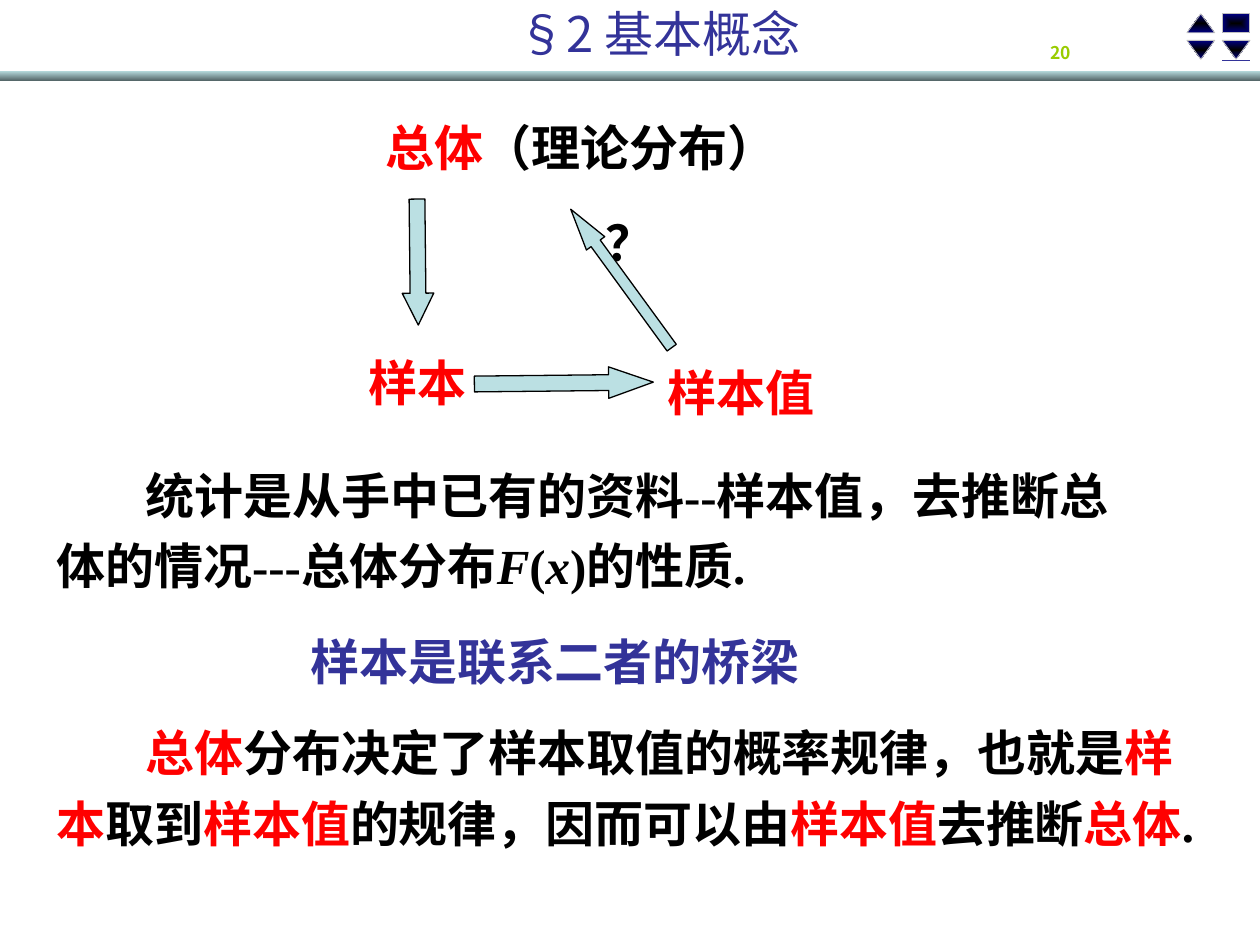
from lxml import etree
from pptx import Presentation
from pptx.dml.color import RGBColor
from pptx.enum import shapes, text
from pptx.oxml.ns import qn
from pptx.util import Inches, Pt

BLACK = RGBColor(0, 0, 0)
RED = RGBColor(0xFF, 0, 0)
INDIGO = RGBColor(0x33, 0x33, 0x99)
NAVY = RGBColor(0, 0, 0x82)
SILVER = RGBColor(0xC0, 0xC0, 0xC0)
GREEN = RGBColor(0x99, 0xCC, 0)
PALE_TEAL = RGBColor(0xBB, 0xE0, 0xE3)
DARK_TEAL = RGBColor(0x56, 0x68, 0x6A)
SANS, SERIF = "Noto Sans CJK SC", "Times New Roman"
SHAPE = shapes.MSO_SHAPE
CENTER, LEFT = text.PP_ALIGN.CENTER, text.PP_ALIGN.LEFT


def add_shape(slide, kind, box, rotation=0, adjustments=()):
    sp = slide.shapes.add_shape(kind, *map(Inches, box))
    sp.shadow.inherit = False
    sp.rotation = rotation
    for i, value in enumerate(adjustments):
        sp.adjustments[i] = value
    return sp


def set_gradient(sp, start, end, path_kind=None):
    """Top to bottom, or from the edges inward when path_kind is given."""
    sp.fill.gradient()
    sp.fill.gradient_angle = 270
    for stop, color in zip(sp.fill.gradient_stops, (start, end)):
        stop.color.rgb = color
    if path_kind:
        grad = sp._element.spPr.find(qn("a:gradFill"))
        grad.remove(grad.find(qn("a:lin")))
        path = etree.SubElement(grad, qn("a:path"), path=path_kind)
        etree.SubElement(path, qn("a:fillToRect"),
                         {side: "50000" for side in "ltrb"})


def format_paragraph(p, runs, align=LEFT, size=28, font=SERIF, bold=True):
    """Each run is (text, color) or (text, color, italic)."""
    p.alignment = align
    p.line_spacing = 1.2
    p.font.size, p.font.name, p.font.bold = Pt(size), font, bold
    for words, color, *italic in runs:
        r = p.add_run()
        r.text = words
        r.font.color.rgb = color
        if italic:
            r.font.italic = italic[0]


def add_text(slide, box, runs, align=CENTER, wrap=False, indent=0,
             anchor=text.MSO_ANCHOR.MIDDLE, **style):
    tf = slide.shapes.add_textbox(*map(Inches, box)).text_frame
    tf.word_wrap = wrap
    tf.auto_size = text.MSO_AUTO_SIZE.SHAPE_TO_FIT_TEXT
    tf.vertical_anchor = anchor
    p = tf.paragraphs[0]
    if indent:
        p._p.get_or_add_pPr().set("indent", str(Inches(indent)))
    format_paragraph(p, runs, align, **style)
    return tf


def add_header(slide):
    bar = add_shape(slide, SHAPE.RECTANGLE, (-0.01, 0.56, 10.04, 0.08))
    set_gradient(bar, PALE_TEAL, DARK_TEAL)
    bar.line.fill.background()

    title = slide.shapes.title
    title.left, title.top, title.width, title.height = map(
        Inches, (4.01, -0.02, 2.78, 0.57))
    tf = title.text_frame
    tf.vertical_anchor = text.MSO_ANCHOR.TOP
    p = tf.paragraphs[0]
    format_paragraph(p, [("§2 基本概念", INDIGO)], font=SANS, bold=False)
    p.line_spacing = 1.0

    add_text(slide, (8.24, 0.25, 0.82, 0.3), [("20", GREEN)], align=LEFT,
             wrap=True, anchor=text.MSO_ANCHOR.TOP, size=10, font=SANS)


def add_navigation(slide, left, top):
    right, lower = left + 0.28, top + 0.21
    buttons = [
        (SHAPE.UP_ARROW, left, top, 0, "rect"),
        (SHAPE.UP_ARROW, left, lower, 180, "rect"),
        (SHAPE.RECTANGLE, right, top, 0, "shape"),
        (SHAPE.UP_ARROW, right, lower, 180, "rect"),
    ]
    for kind, x, y, rotation, path_kind in buttons:
        adjustments = (0.5, 1) if kind == SHAPE.UP_ARROW else ()
        sp = add_shape(slide, kind, (x, y, 0.22, 0.15), rotation, adjustments)
        set_gradient(sp, BLACK, NAVY, path_kind)
        sp.line.color.rgb = SILVER
        sp.line.width = Pt(0.5)
    y = Inches(top + 0.37)
    underline = slide.shapes.add_connector(
        shapes.MSO_CONNECTOR.STRAIGHT, Inches(right), y, Inches(right + 0.22), y)
    underline.line.color.rgb = INDIGO
    underline.line.width = Pt(1)
    etree.SubElement(underline._element.spPr, qn("a:effectLst"))


def add_diagram(slide, left, top):
    """Population to sample to sample value, and back."""
    tf = add_text(slide, (left + 0.11, top - 0.01, 3.36, 1.47),
                  [("总体", RED), ("（理论分布）", BLACK)], wrap=True)
    p = tf.add_paragraph()
    p._p.get_or_add_pPr().set("marL", str(Inches(1.78)))
    format_paragraph(p, [("？", BLACK)])
    p.space_before = Pt(14)
    add_text(slide, (left, top + 1.91, 0.99, 0.61), [("样本", RED)])
    add_text(slide, (left + 2.31, top + 1.99, 1.5, 0.61), [("样本值", RED)])

    arrows = [
        (1.53, 1.56, 0.25, 1.42, 269.4, 1.42),
        (0.37, 0.81, 0.25, 1.0, 359.4, 1.01),
        (2.02, 0.76, 0.18, 1.36, 143.9, 1.86),
    ]
    for x, y, width, height, rotation, head in arrows:
        sp = add_shape(slide, SHAPE.DOWN_ARROW,
                       (left + x, top + y, width, height), rotation, (0.5, head))
        sp.fill.solid()
        sp.fill.fore_color.rgb = PALE_TEAL
        sp.line.color.rgb = BLACK
        sp.line.width = Pt(0.75)


def add_explanation(slide, left, top):
    body = {"align": LEFT, "wrap": True, "indent": 0.71}
    add_text(slide, (left, top, 8.72, 1.22), [
        ("统计是从手中已有的资料--样本值，去推断总体的情况---总体分布", BLACK),
        ("F", BLACK, True), ("(", BLACK), ("x", BLACK, True),
        (")的性质.", BLACK)], **body)
    add_text(slide, (left + 1.98, top + 1.31, 4.15, 0.67),
             [("样本是联系二者的桥梁", INDIGO)])
    add_text(slide, (left, top + 2.04, 9.44, 1.23), [
        ("总体", RED), ("分布决定了样本取值的概率规律，也就是", BLACK),
        ("样本", RED), ("取到", BLACK), ("样本值", RED),
        ("的规律，因而可以由", BLACK), ("样本值", RED),
        ("去推断", BLACK), ("总体", RED), (".", BLACK)], **body)


def main():
    prs = Presentation()
    prs.slide_width, prs.slide_height = Inches(10), Inches(7.5)
    slide = prs.slides.add_slide(prs.slide_layouts[5])
    add_header(slide)
    add_navigation(slide, 9.42, 0.11)
    add_diagram(slide, 2.82, 0.77)
    add_explanation(slide, 0.35, 3.55)
    prs.save("out.pptx")


if __name__ == "__main__":
    main()
